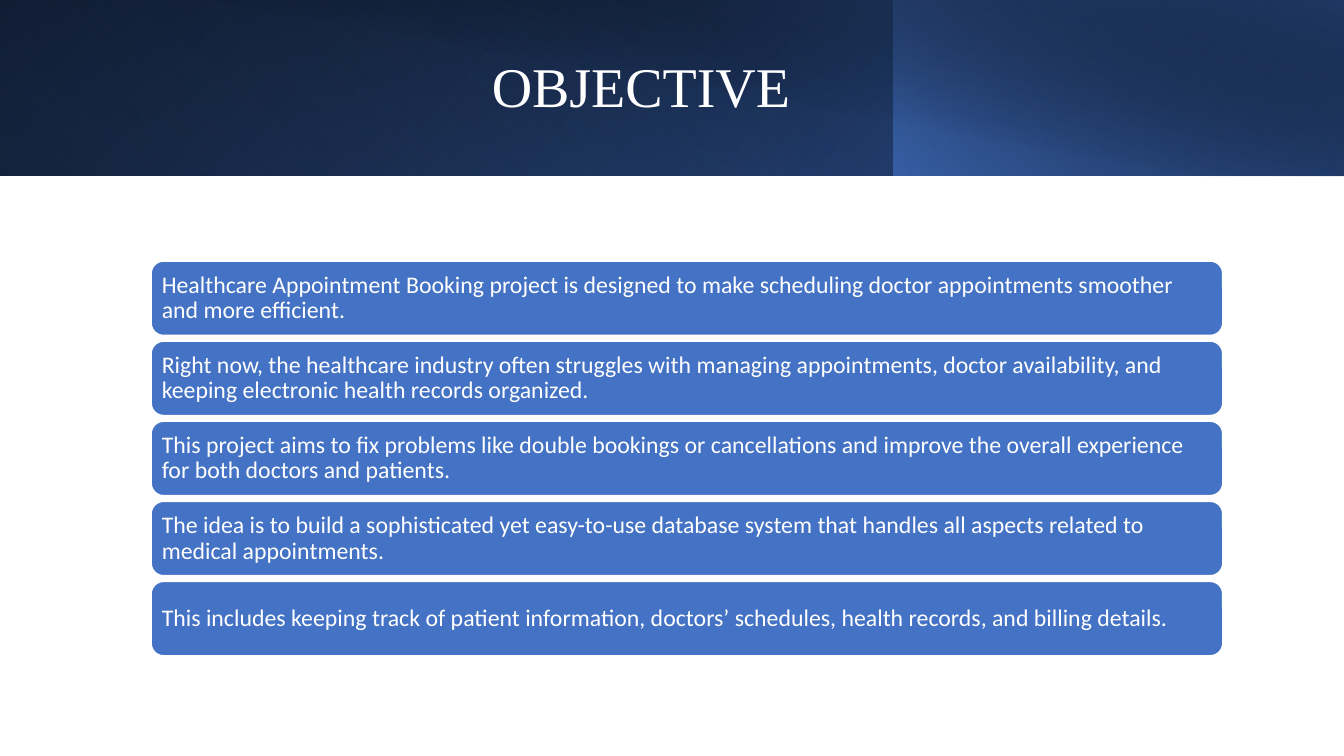
from dataclasses import dataclass

import pptx
import pptx.dml.color
import pptx.enum.dml
import pptx.enum.shapes
import pptx.enum.text
import pptx.oxml.ns
import pptx.shapes.autoshape
import pptx.slide
import pptx.text.text
import pptx.util
from lxml import etree

Pt = pptx.util.Pt
RGBColor = pptx.dml.color.RGBColor

WHITE = RGBColor(0xFF, 0xFF, 0xFF)
BLACK = RGBColor(0x00, 0x00, 0x00)
BLUE = RGBColor(0x44, 0x72, 0xC4)
DEEP_BLUE = RGBColor(0x2F, 0x55, 0x97)
NAVY = RGBColor(0x20, 0x38, 0x64)

CARD_LEFT, CARD_TOP = 108, 186.5
CARD_WIDTH, CARD_HEIGHT = 765.4, 53.1
CARD_PITCH = 57.2
CARD_INSET = 5

OBJECTIVES = [
    "Healthcare Appointment Booking project is designed to make scheduling doctor appointments smoother and more efficient.",
    "Right now, the healthcare industry often struggles with managing appointments, doctor availability, and keeping electronic health records organized.",
    "This project aims to fix problems like double bookings or cancellations and improve the overall experience for both doctors and patients.",
    "The idea is to build a sophisticated yet easy-to-use database system that handles all aspects related to medical appointments.",
    "This includes keeping track of patient information, doctors’ schedules, health records, and billing details.",
]


@dataclass(frozen=True)
class Stop:
    position: float
    color: RGBColor
    opacity: int = 100


@dataclass(frozen=True)
class HeaderLayer:
    left: float
    width: float
    height: float
    angle: float
    start: Stop
    end: Stop


HEADER_LAYERS = [
    HeaderLayer(0, 960, 125.3, 320, Stop(0, BLACK), Stop(1, DEEP_BLUE)),
    HeaderLayer(0, 639.2, 125.3, 230, Stop(0.2, BLUE, 0), Stop(1, NAVY, 55)),
    HeaderLayer(638.6, 321.4, 125.3, 40, Stop(0, BLUE, 66), Stop(1, BLACK, 30)),
    HeaderLayer(36, 924, 126, 80, Stop(0.5, BLACK, 0), Stop(0.99, NAVY, 52)),
]


def add_header_layer(slide: pptx.slide.Slide, layer: HeaderLayer) -> None:
    band = slide.shapes.add_shape(
        pptx.enum.shapes.MSO_SHAPE.RECTANGLE,
        Pt(layer.left), Pt(0), Pt(layer.width), Pt(layer.height),
    )
    band.shadow.inherit = False
    band.line.fill.background()
    band.fill.gradient()
    band.fill.gradient_angle = layer.angle
    for gradient_stop, stop in zip(band.fill.gradient_stops, (layer.start, layer.end)):
        gradient_stop.position = stop.position
        gradient_stop.color.rgb = stop.color
    qn = pptx.oxml.ns.qn
    colors = band.fill._xPr.iter(qn("a:srgbClr"))
    for color, stop in zip(list(colors), (layer.start, layer.end)):
        if stop.opacity < 100:
            etree.SubElement(color, qn("a:alpha")).set("val", str(stop.opacity * 1000))


def write(frame: pptx.text.text.TextFrame, text: str, font: str, size: float) -> None:
    frame.text = text
    frame.word_wrap = True
    frame.vertical_anchor = pptx.enum.text.MSO_ANCHOR.MIDDLE
    paragraph = frame.paragraphs[0]
    paragraph.alignment = pptx.enum.text.PP_ALIGN.LEFT
    paragraph.line_spacing = 0.9
    run = paragraph.runs[0]
    run.font.name = font
    run.font.size = Pt(size)
    run.font.color.rgb = WHITE


def add_objective(slide: pptx.slide.Slide, index: int, text: str) -> None:
    card = slide.shapes.add_shape(
        pptx.enum.shapes.MSO_SHAPE.ROUNDED_RECTANGLE,
        Pt(CARD_LEFT), Pt(CARD_TOP + index * CARD_PITCH),
        Pt(CARD_WIDTH), Pt(CARD_HEIGHT),
    )
    card.shadow.inherit = False
    card.fill.solid()
    card.fill.fore_color.rgb = BLUE
    card.line.color.rgb = WHITE
    card.line.width = Pt(1)
    frame = card.text_frame
    frame.margin_left = frame.margin_right = Pt(CARD_INSET)
    frame.margin_top = frame.margin_bottom = Pt(CARD_INSET)
    write(frame, text, "Calibri", 17)


def main() -> None:
    presentation = pptx.Presentation()
    presentation.slide_width = Pt(960)
    presentation.slide_height = Pt(540)
    slide = presentation.slides.add_slide(presentation.slide_layouts[6])

    for layer in HEADER_LAYERS:
        add_header_layer(slide, layer)

    title = slide.shapes.add_textbox(Pt(344.2), Pt(23), Pt(272.9), Pt(81.4))
    write(title.text_frame, "OBJECTIVE", "Times New Roman", 40)

    for index, text in enumerate(OBJECTIVES):
        add_objective(slide, index, text)

    presentation.save("out.pptx")


if __name__ == "__main__":
    main()
